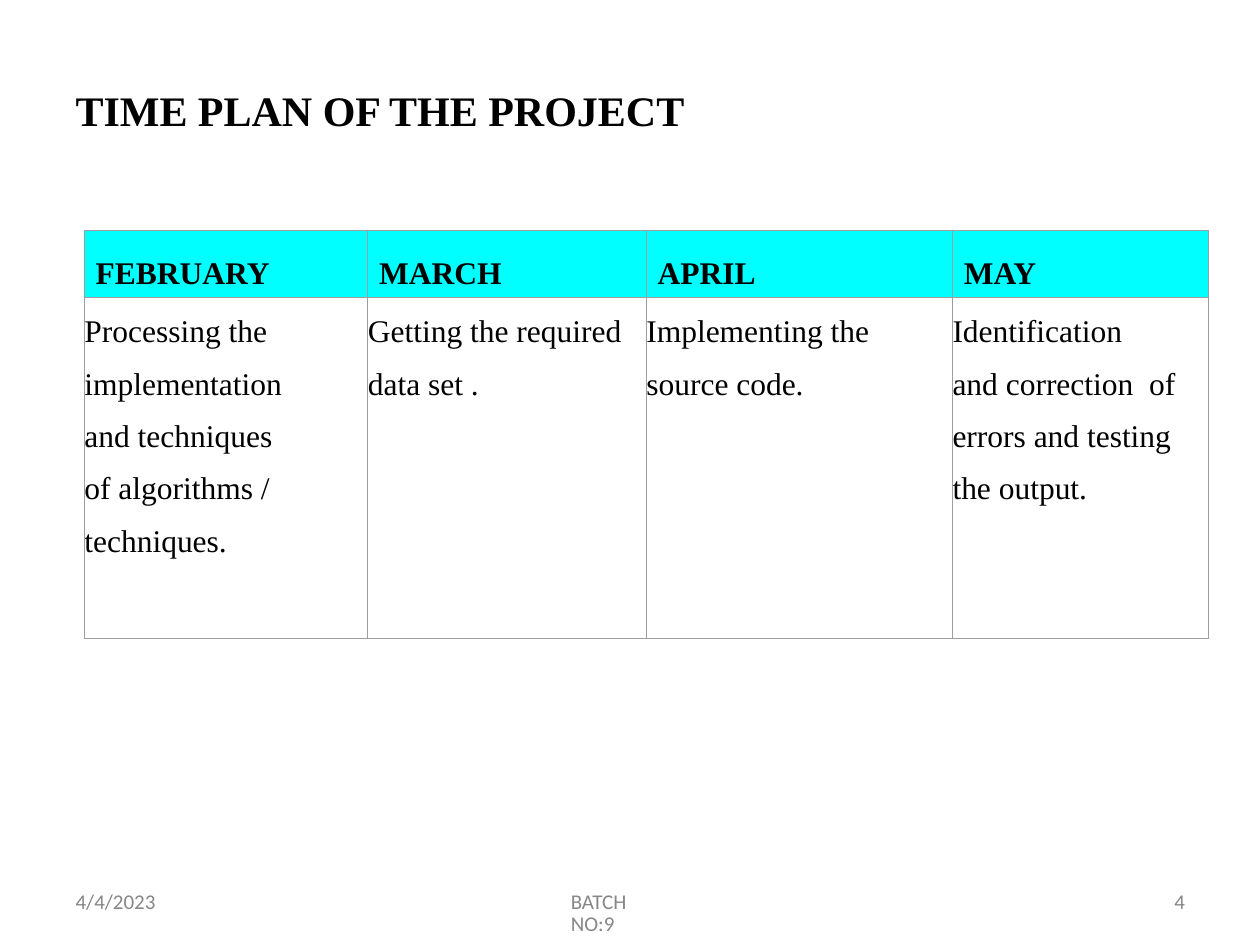
from dataclasses import dataclass

from lxml.etree import SubElement
from pptx import Presentation
from pptx.dml.color import RGBColor
from pptx.oxml.ns import qn
from pptx.util import Inches, Pt


@dataclass(frozen=True)
class Theme:
    """Colours, fonts and type sizes of the slide."""
    ink: str = "000000"
    muted: str = "878787"
    header: str = "00FFFF"
    border: str = "9E9E9E"
    serif: str = "Times New Roman"
    sans: str = "Calibri"
    title_size: float = 24
    table_size: float = 18
    footer_size: float = 12
    border_width: float = 0.75


THEME = Theme()
TITLE = ("TIME PLAN OF THE PROJECT", 0.6, 0.67, 4.85, 0.43)
FOOTERS = [
    ("4/4/2023", 0.6, 0.8),
    ("BATCH NO:9", 4.53, 0.79),
    ("4", 9.32, 0.14),
]
FOOTER_TOP, FOOTER_HEIGHT = 7.08, 0.19
PLAN = [
    ("FEBRUARY", "Processing the implementation and techniques of algorithms / techniques.", 2.25, 0.6),
    ("MARCH", "Getting the required data set .", 2.21, 0),
    ("APRIL", "Implementing the source code.", 2.43, 0.4),
    ("MAY", "Identification  and correction  of errors and testing the output.", 2.03, 0.24),
]
TABLE_LEFT, TABLE_TOP = 0.67, 1.83
ROW_HEIGHTS = (0.53, 2.71)


def write_text(frame, text, *, font, size, color, bold=False, line_spacing=None, before=0):
    """Write one formatted paragraph into a text frame."""
    frame.word_wrap = True
    paragraph = frame.paragraphs[0]
    paragraph.line_spacing = line_spacing
    paragraph.space_before = Pt(before)
    run = paragraph.add_run()
    run.text = text
    run.font.name = font
    run.font.size = Pt(size)
    run.font.bold = bold
    run.font.color.rgb = RGBColor.from_string(color)


def set_margins(holder, left=0, top=0, right=0):
    """Set the inner margins of a cell or text frame."""
    holder.margin_left, holder.margin_top = Inches(left), Inches(top)
    holder.margin_right, holder.margin_bottom = Inches(right), 0


def add_text(slide, text, left, top, width, height, **text_format):
    """Add a text box without inner margins."""
    shape = slide.shapes.add_textbox(*map(Inches, (left, top, width, height)))
    set_margins(shape.text_frame)
    write_text(shape.text_frame, text, **text_format)


def add_borders(cell):
    """Draw a thin line on every side of a cell."""
    properties = cell._tc.get_or_add_tcPr()
    for position, side in enumerate(("lnL", "lnR", "lnT", "lnB")):
        line = SubElement(properties, qn(f"a:{side}"), w=str(Pt(THEME.border_width)))
        fill = SubElement(line, qn("a:solidFill"))
        SubElement(fill, qn("a:srgbClr"), val=THEME.border)
        properties.insert(position, line)


def add_plan(slide):
    """Add the table of months and tasks."""
    width = sum(column[2] for column in PLAN)
    table = slide.shapes.add_table(
        len(ROW_HEIGHTS), len(PLAN), Inches(TABLE_LEFT), Inches(TABLE_TOP),
        Inches(width), Inches(sum(ROW_HEIGHTS))).table
    table.first_row = table.horz_banding = False
    for row, height in zip(table.rows, ROW_HEIGHTS):
        row.height = Inches(height)
    text_format = dict(font=THEME.serif, size=THEME.table_size, color=THEME.ink, line_spacing=1.5)
    for index, (month, task, column_width, right_margin) in enumerate(PLAN):
        table.columns[index].width = Inches(column_width)
        header, body = table.cell(0, index), table.cell(1, index)
        set_margins(header, left=0.09, top=0.07)
        set_margins(body, right=right_margin)
        header.fill.solid()
        header.fill.fore_color.rgb = RGBColor.from_string(THEME.header)
        body.fill.background()
        write_text(header.text_frame, month, bold=True, before=5.3, **text_format)
        write_text(body.text_frame, task, **text_format)
        add_borders(header)
        add_borders(body)


def main():
    """Build and save the time plan slide."""
    presentation = Presentation()
    presentation.slide_width, presentation.slide_height = Inches(10), Inches(7.5)
    slide = presentation.slides.add_slide(presentation.slide_layouts[6])
    for text, left, width in FOOTERS:
        add_text(slide, text, left, FOOTER_TOP, width, FOOTER_HEIGHT, font=THEME.sans,
                 size=THEME.footer_size, color=THEME.muted, line_spacing=Pt(12.4))
    add_text(slide, *TITLE, font=THEME.serif, size=THEME.title_size,
             color=THEME.ink, bold=True, before=1)
    add_plan(slide)
    presentation.save("out.pptx")


if __name__ == "__main__":
    main()
